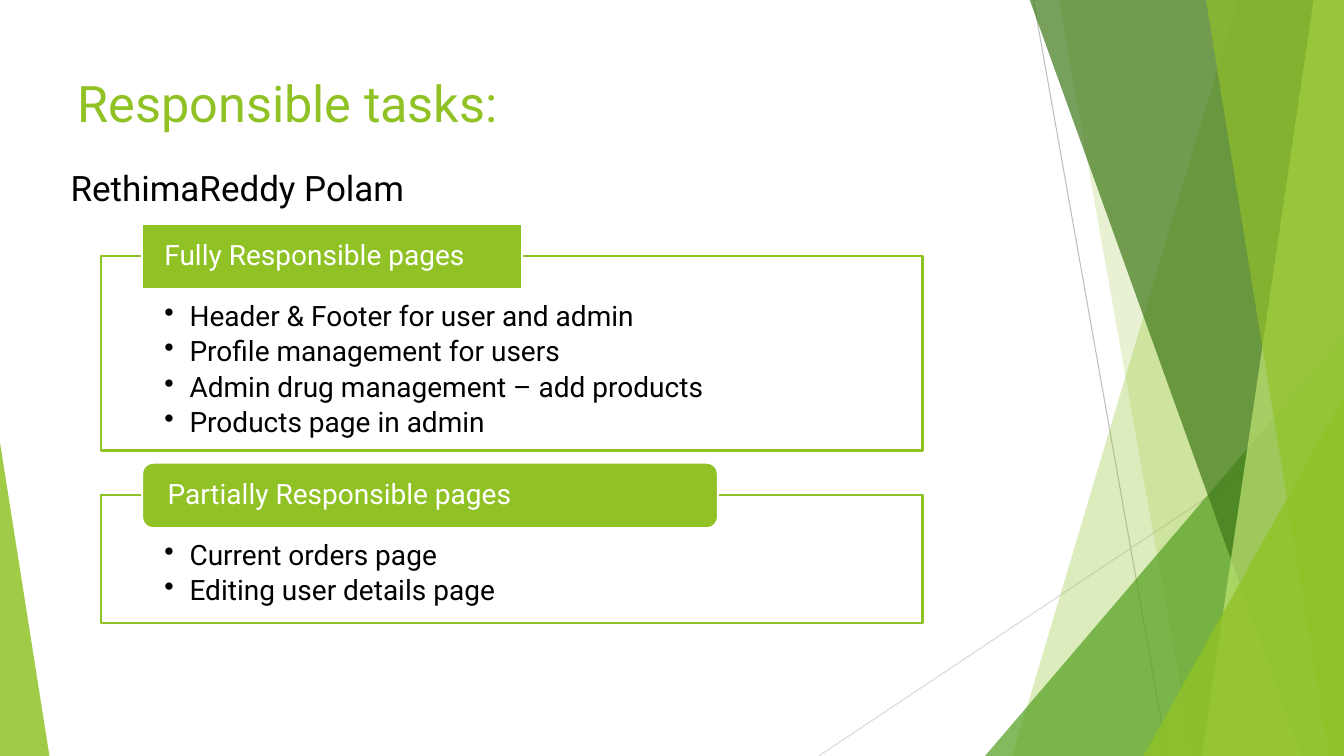
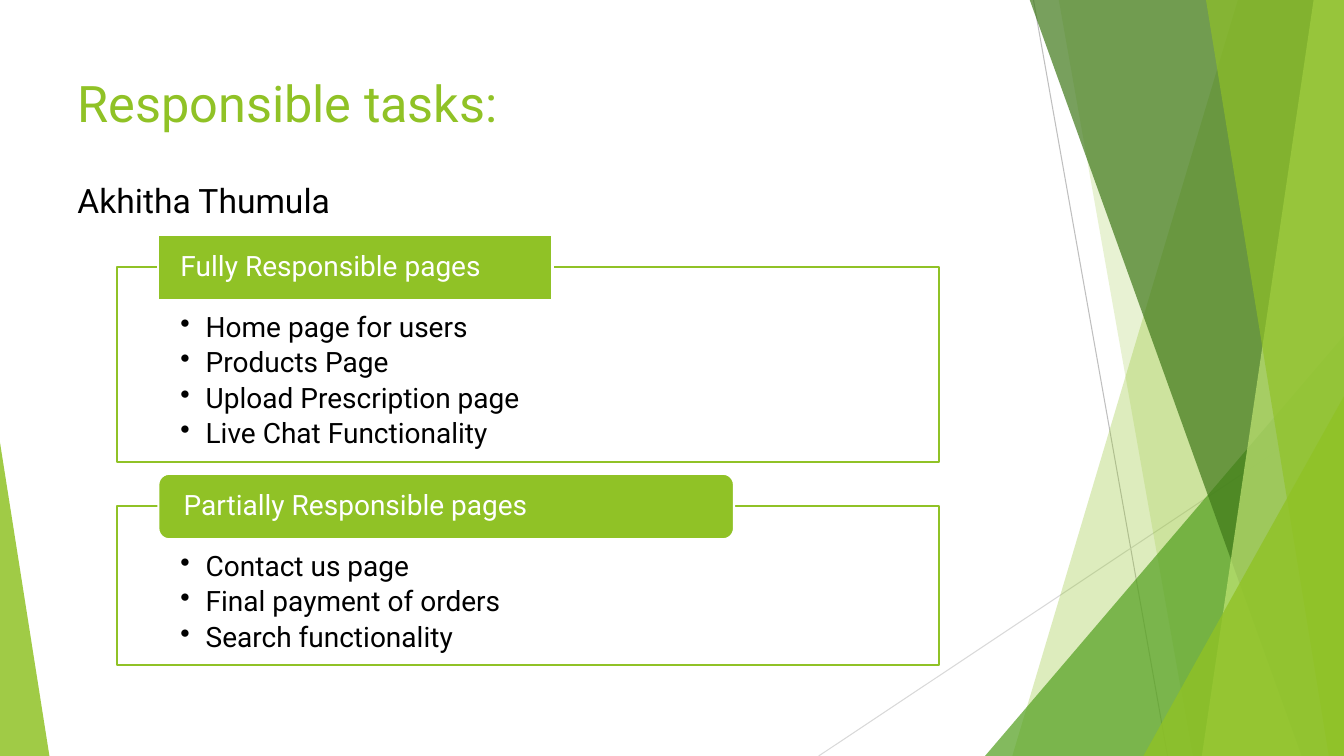
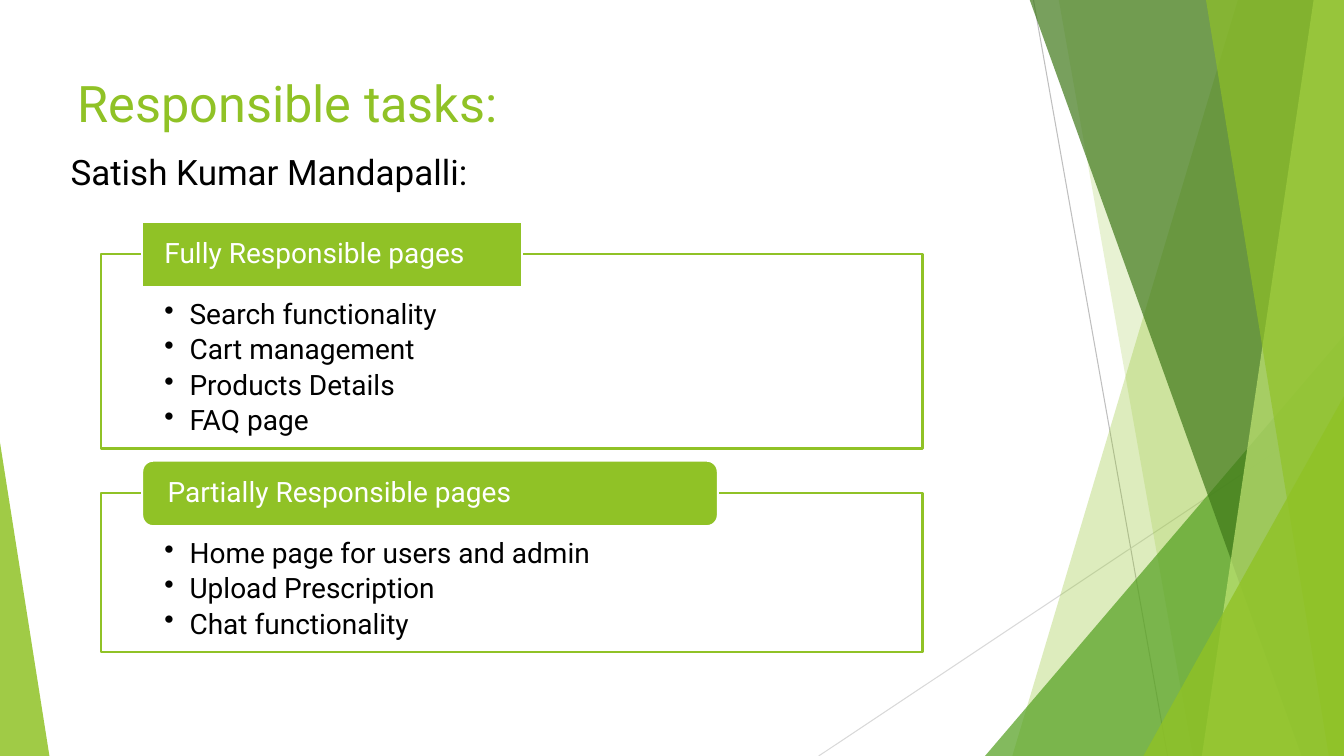
from dataclasses import dataclass

from lxml import etree
from pptx import Presentation
from pptx.dml.color import RGBColor
from pptx.enum.shapes import MSO_CONNECTOR as Link, MSO_SHAPE as Form
from pptx.enum.text import MSO_ANCHOR as Anchor, PP_ALIGN as Align
from pptx.oxml.ns import qn
from pptx.util import Inches, Pt


@dataclass(frozen=True)
class Theme:
    font: str = "Roboto"
    lime: str = "90C226"
    green: str = "54A021"
    dark: str = "3F7819"
    pale: str = "C0E474"
    white: str = "FFFFFF"
    black: str = "000000"
    gray: str = "BFBFBF"
    light: str = "D9D9D9"
    title: int = 36
    large: int = 25
    medium: int = 24
    body: int = 20
    rule: float = 1.5
    hair: float = 0.75


THEME = Theme()
WIDTH, HEIGHT = 13.33, 7.5
TOP = -0.01
PANEL_WIDTH, PANEL_GAP = 8.15, 0.44
PANEL_HEIGHT = {2: 1.27, 3: 1.58, 4: 1.93}  # by number of items
TAG_LEFT, TAG_RISE, TAG_HEIGHT = 0.41, 0.32, 0.65

SLIDES = [
    {
        "name": "RethimaReddy Polam",
        "place": {"box": (0.5, 1.54, 5.33, 0.64), "left": 0.2, "anchor": Anchor.MIDDLE},
        "size": THEME.large,
        "at": (1, 2.54),
        "tag": 3.77,
        "full": ["Header & Footer for user and admin", "Profile management for users",
                 "Admin drug management – add products", "Products page in admin"],
        "part": ["Current orders page", "Editing user details page"],
    },
    {
        "name": "Akhitha Thumula",
        "place": {"box": (0.67, 1.74, 8, 0.74), "left": 0.1, "anchor": Anchor.TOP},
        "size": THEME.medium,
        "at": (1.16, 2.65),
        "tag": 3.91,
        "full": ["Home page for users", "Products Page",
                 "Upload Prescription page", "Live Chat Functionality"],
        "part": ["Contact us page", "Final payment of orders", "Search functionality"],
    },
    {
        "name": "Satish Kumar Mandapalli:",
        "place": {"box": (0.5, 1.27, 5.33, 0.87), "left": 0.2, "anchor": Anchor.MIDDLE},
        "size": THEME.large,
        "at": (1, 2.52),
        "tag": 3.77,
        "full": ["Search functionality", "Cart management", "Products Details", "FAQ page"],
        "part": ["Home page for users and admin", "Upload Prescription", "Chat functionality"],
    },
]


class Deck:
    def __init__(self, theme):
        self.theme = theme
        self.file = Presentation()
        self.file.slide_width = Inches(WIDTH)
        self.file.slide_height = Inches(HEIGHT)
        self.slide = None

    def start(self):
        self.slide = self.file.slides.add_slide(self.file.slide_layouts[6])
        self.facets()

    def paint(self, shape, color, alpha=100, line=None):
        shape.shadow.inherit = False
        shape.fill.solid()
        shape.fill.fore_color.rgb = RGBColor.from_string(color)
        if alpha < 100:
            tint = shape._element.spPr.find(f"{qn('a:solidFill')}/{qn('a:srgbClr')}")
            etree.SubElement(tint, qn("a:alpha"), val=str(alpha * 1000))
        if line:
            shape.line.color.rgb = RGBColor.from_string(line)
            shape.line.width = Pt(self.theme.rule)
        else:
            shape.line.fill.background()

    def shape(self, form, box, color, alpha=100, line=None):
        shape = self.slide.shapes.add_shape(form, *map(Inches, box))
        self.paint(shape, color, alpha, line)
        return shape

    def line(self, start, end, color):
        link = self.slide.shapes.add_connector(Link.STRAIGHT, *map(Inches, start + end))
        link.line.color.rgb = RGBColor.from_string(color)
        link.line.width = Pt(self.theme.hair)
        etree.SubElement(link._element.spPr, qn("a:effectLst"))

    def shard(self, top, bottom, color, alpha):
        """Fill from a slanted left edge to the right side of the slide."""
        points = [(top, TOP), (WIDTH, TOP), (WIDTH, HEIGHT), (bottom, HEIGHT)]
        first, *rest = [(Inches(x), Inches(y)) for x, y in points]
        outline = self.slide.shapes.build_freeform(*first)
        outline.add_line_segments(rest, close=True)
        self.paint(outline.convert_to_shape(), color, alpha)

    def wedge(self, left, top, width, color, alpha, apex):
        """Stand a right triangle on the foot of the slide."""
        box = (left, top, width, HEIGHT - top)
        shape = self.shape(Form.ISOSCELES_TRIANGLE, box, color, alpha)
        shape.adjustments[0] = apex

    def facets(self):
        t = self.theme
        self.line((10.25, 0), (11.58, HEIGHT), t.gray)
        self.line((WIDTH, 4.03), (8.12, HEIGHT), t.light)
        self.shard(12.28, 10.04, t.lime, 30)
        self.shard(10.5, 11.83, t.lime, 20)
        self.wedge(9.77, 3.33, 3.56, t.green, 72, 1)
        self.shard(10.21, 12.91, t.dark, 70)
        self.shard(13.03, 11.92, t.pale, 70)
        self.shard(11.96, 13.18, t.lime, 65)
        self.wedge(11.34, 3.93, 1.99, t.lime, 80, 1)
        self.wedge(0, 4.39, 0.49, t.lime, 85, 0)

    def letter(self, shape, lines, size, color, insets, anchor, **layout):
        """Set the lines as styled paragraphs of the shape."""
        frame = shape.text_frame
        sides = ("margin_left", "margin_top", "margin_right", "margin_bottom")
        style = dict(zip(sides, map(Inches, insets)), word_wrap=True, vertical_anchor=anchor)
        for key, value in style.items():
            setattr(frame, key, value)
        frame.text = "\n".join(lines)
        for para in frame.paragraphs:
            for key, value in {"alignment": Align.LEFT, **layout}.items():
                setattr(para, key, value)
            for key, value in {"name": self.theme.font, "size": Pt(size)}.items():
                setattr(para.font, key, value)
            para.font.color.rgb = RGBColor.from_string(color)
        return frame

    def text(self, words, box, size, color, left=0.1, anchor=Anchor.TOP):
        shape = self.slide.shapes.add_textbox(*map(Inches, box))
        self.letter(shape, [words], size, color, (left, 0.05, 0, 0.05), anchor)

    def panel(self, left, top, items):
        t = self.theme
        box = (left, top, PANEL_WIDTH, PANEL_HEIGHT[len(items)])
        shape = self.shape(Form.RECTANGLE, box, t.white, 90, t.lime)
        frame = self.letter(shape, items, t.body, t.black, (0.63, 0.46, 0.63, 0.16),
                            Anchor.TOP, line_spacing=0.9, space_after=Pt(3.6))
        for para in frame.paragraphs:
            props = para._p.get_or_add_pPr()
            props.set("marL", str(Inches(0.25)))
            props.set("indent", str(-Inches(0.25)))
            bullet = etree.Element(qn("a:buChar"), char="•")
            props.find(qn("a:spcAft")).addnext(bullet)

    def tag(self, form, left, top, width, words):
        """Place a label across the top edge of the panel at left, top."""
        t = self.theme
        box = (left + TAG_LEFT, top - TAG_RISE, width, TAG_HEIGHT)
        shape = self.shape(form, box, t.lime, line=t.white)
        self.letter(shape, [words], t.body, t.white, (0.22, 0, 0.22, 0),
                    Anchor.MIDDLE, line_spacing=0.9)


def main():
    deck = Deck(THEME)
    for page in SLIDES:
        deck.start()
        deck.text("Responsible tasks:", (0.67, 0.67, 6.94, 1.44), THEME.title, THEME.lime)
        deck.text(page["name"], size=page["size"], color=THEME.black, **page["place"])
        left, top = page["at"]
        groups = [
            (Form.RECTANGLE, page["tag"], "Fully Responsible pages", page["full"]),
            (Form.ROUNDED_RECTANGLE, 5.71, "Partially Responsible pages", page["part"]),
        ]
        for form, width, words, items in groups:
            deck.panel(left, top, items)
            deck.tag(form, left, top, width, words)
            top += PANEL_HEIGHT[len(items)] + PANEL_GAP
    deck.file.save("out.pptx")


if __name__ == "__main__":
    main()
